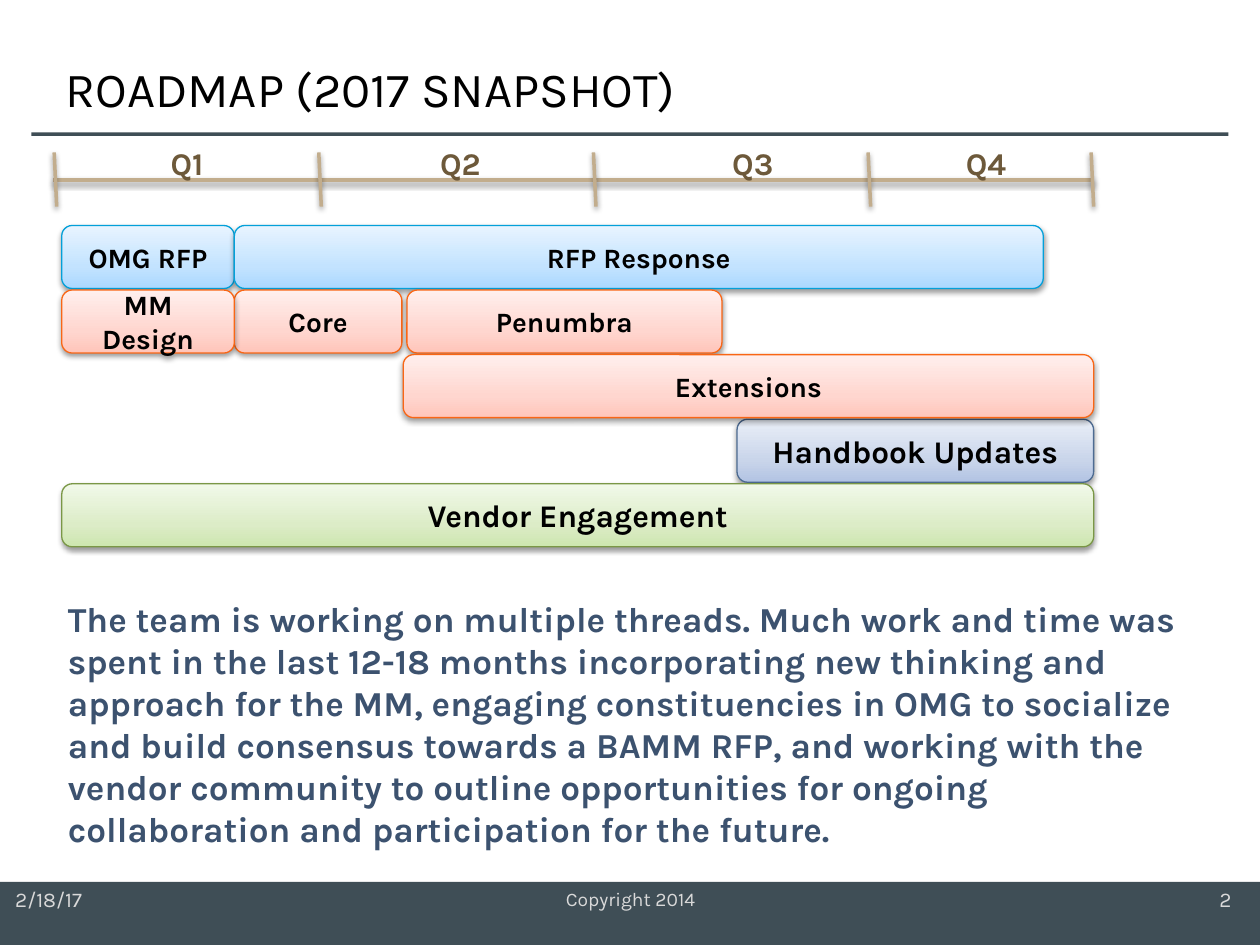
from copy import deepcopy

from lxml.etree import SubElement
from pptx import Presentation
from pptx.dml.color import RGBColor
from pptx.enum.shapes import MSO_CONNECTOR, MSO_SHAPE
from pptx.enum.text import MSO_ANCHOR as Anchor, MSO_AUTO_SIZE, PP_ALIGN as Align
from pptx.oxml.ns import qn
from pptx.util import Inches, Pt

FONT = "Karla"
BLACK = RGBColor(0x00, 0x00, 0x00)
SLATE = RGBColor(0x3F, 0x4E, 0x56)
PALE_GRAY = RGBColor(0xD9, 0xD9, 0xD9)
NAVY = RGBColor(0x3C, 0x52, 0x6F)
TAN = RGBColor(0xC2, 0xAD, 0x8D)
BROWN = RGBColor(0x6D, 0x59, 0x3A)

# Outline, then gradient colours from bottom to top
BLUE, ORANGE, INDIGO, GREEN = (
    [RGBColor.from_string(code) for code in codes.split()]
    for codes in (
        "03A0D9 ABD8FF C3E3FF E8F4FF",
        "F96615 FFC5BA FFD6CF FFEFED",
        "4D6B92 B2C3E3 C9D5EA EAEFF8",
        "7A9746 CDE6AF DCECC7 F1F9E9",
    )
)
GRADIENT_POSITIONS = (0, 0.35, 1)

TITLE = "ROADMAP (2017 SNAPSHOT)"
SUMMARY = (
    "The team is working on multiple threads. Much work and time was spent in the "
    "last 12-18 months incorporating new thinking and approach for the MM, engaging "
    "constituencies in OMG to socialize and build consensus towards a BAMM RFP, and "
    "working with the vendor community to outline opportunities for ongoing "
    "collaboration and participation for the future."
)
# Label, row, left, width, palette, text size
BARS = [
    ("OMG RFP", 0, 0.49, 1.37, BLUE, 16),
    ("RFP Response", 0, 1.86, 6.42, BLUE, 16),
    ("Core", 1, 1.86, 1.33, ORANGE, 16),
    ("Handbook Updates", 3, 5.85, 2.83, INDIGO, 18),
    ("Vendor Engagement", 4, 0.49, 8.19, GREEN, 18),
    ("MM Design", 1, 0.49, 1.37, ORANGE, 16),
    ("Penumbra", 1, 3.23, 2.5, ORANGE, 16),
    ("Extensions", 2, 3.2, 5.48, ORANGE, 16),
]
FIRST_ROW, LAST_ROW, BAR_HEIGHT = 1.79, 3.84, 0.5
ROW_STEP = (LAST_ROW - FIRST_ROW) / 4

QUARTERS = [("Q1", 1), ("Q2", 3.17), ("Q3", 5.49), ("Q4", 7.34)]
TICKS = [0.43, 2.53, 4.71, 6.89, 8.66]
TICK_TOP, TICK_BOTTOM, TICK_LEAN = 1.21, 1.64, 0.02
AXIS_START, AXIS_END, AXIS_Y = 0.42, 8.68, 1.43


def write(shape, text, size, color, bold=False, align=Align.LEFT,
          anchor=Anchor.TOP, wrap=True, inset=None):
    frame = shape.text_frame
    frame.word_wrap = wrap
    frame.auto_size = MSO_AUTO_SIZE.NONE
    frame.vertical_anchor = anchor
    if inset is not None:
        frame.margin_left = frame.margin_right = Inches(inset)
        frame.margin_top = frame.margin_bottom = Inches(inset)
    para = frame.paragraphs[0]
    para.alignment = align
    span = para.add_run()
    span.text = text
    span.font.name = FONT
    span.font.size = Pt(size)
    span.font.bold = bold
    span.font.color.rgb = color


def add_text(page, area, text, size, color, **style):
    box = page.shapes.add_textbox(*map(Inches, area))
    write(box, text, size, color, **style)


def add_band(page, *area):
    band = page.shapes.add_shape(MSO_SHAPE.RECTANGLE, *map(Inches, area))
    band.shadow.inherit = False
    band.fill.solid()
    band.fill.fore_color.rgb = SLATE
    band.line.fill.background()


def cast_shadow(shape):
    """Give the shape a soft shadow below; its line must be set already."""
    effects = SubElement(shape._element.spPr, qn("a:effectLst"))
    shadow = SubElement(effects, qn("a:outerShdw"), blurRad="40000", dist="20000",
                        dir="5400000", rotWithShape="0")
    black = SubElement(shadow, qn("a:srgbClr"), val="000000")
    SubElement(black, qn("a:alpha"), val="38000")


def fill_gradient(shape, colors):
    fill = shape.fill
    fill.gradient()
    fill.gradient_angle = 90
    stop_list = shape._element.spPr.find(qn("a:gradFill")).find(qn("a:gsLst"))
    stop_list.append(deepcopy(stop_list[0]))
    for stop, position, color in zip(fill.gradient_stops, GRADIENT_POSITIONS, colors):
        stop.position = position
        stop.color.rgb = color


def add_bar(page, label, row, left, width, palette, size):
    top = FIRST_ROW + row * ROW_STEP
    bar = page.shapes.add_shape(MSO_SHAPE.ROUNDED_RECTANGLE,
                                *map(Inches, (left, top, width, BAR_HEIGHT)))
    outline, *gradient = palette
    fill_gradient(bar, gradient)
    bar.line.color.rgb = outline
    bar.line.width = Pt(0.75)
    cast_shadow(bar)
    write(bar, label, size, BLACK, bold=True, align=Align.CENTER, anchor=Anchor.MIDDLE)


def add_timeline_line(page, *ends):
    line = page.shapes.add_connector(MSO_CONNECTOR.STRAIGHT, *map(Inches, ends))
    line.line.color.rgb = TAN
    line.line.width = Pt(2)
    cast_shadow(line)


def main():
    deck = Presentation()
    deck.slide_width, deck.slide_height = Inches(10), Inches(7.5)
    page = deck.slides.add_slide(deck.slide_layouts[5])

    add_band(page, 0, 7, 10, 0.5)
    add_band(page, 0.25, 1.05, 9.5, 0.03)
    add_text(page, (0.12, 7.04, 0.75, 0.2), "2/18/17", 12, PALE_GRAY,
             anchor=Anchor.MIDDLE, wrap=False, inset=0)
    add_text(page, (9.62, 7.04, 0.21, 0.2), "2", 12, PALE_GRAY, align=Align.CENTER,
             anchor=Anchor.MIDDLE, wrap=False, inset=0)
    add_text(page, (2.42, 6.99, 5.17, 0.3), "Copyright 2014", 11, PALE_GRAY,
             align=Align.CENTER)

    title = page.shapes.title
    title.left, title.top, title.width, title.height = map(Inches, (0.42, 0.4, 7.5, 0.6))
    write(title, TITLE, 28, BLACK, anchor=Anchor.MIDDLE)
    add_text(page, (0.44, 4.69, 9, 1.71), SUMMARY, 20, NAVY, bold=True)

    for bar in BARS:
        add_bar(page, *bar)

    add_timeline_line(page, AXIS_START, AXIS_Y, AXIS_END, AXIS_Y)
    for x in TICKS:
        add_timeline_line(page, x, TICK_TOP, x + TICK_LEAN, TICK_BOTTOM)
    for name, left in QUARTERS:
        add_text(page, (left, 1.09, 0.97, 0.4), name, 18, BROWN, bold=True,
                 align=Align.CENTER)

    deck.save("out.pptx")


if __name__ == "__main__":
    main()
